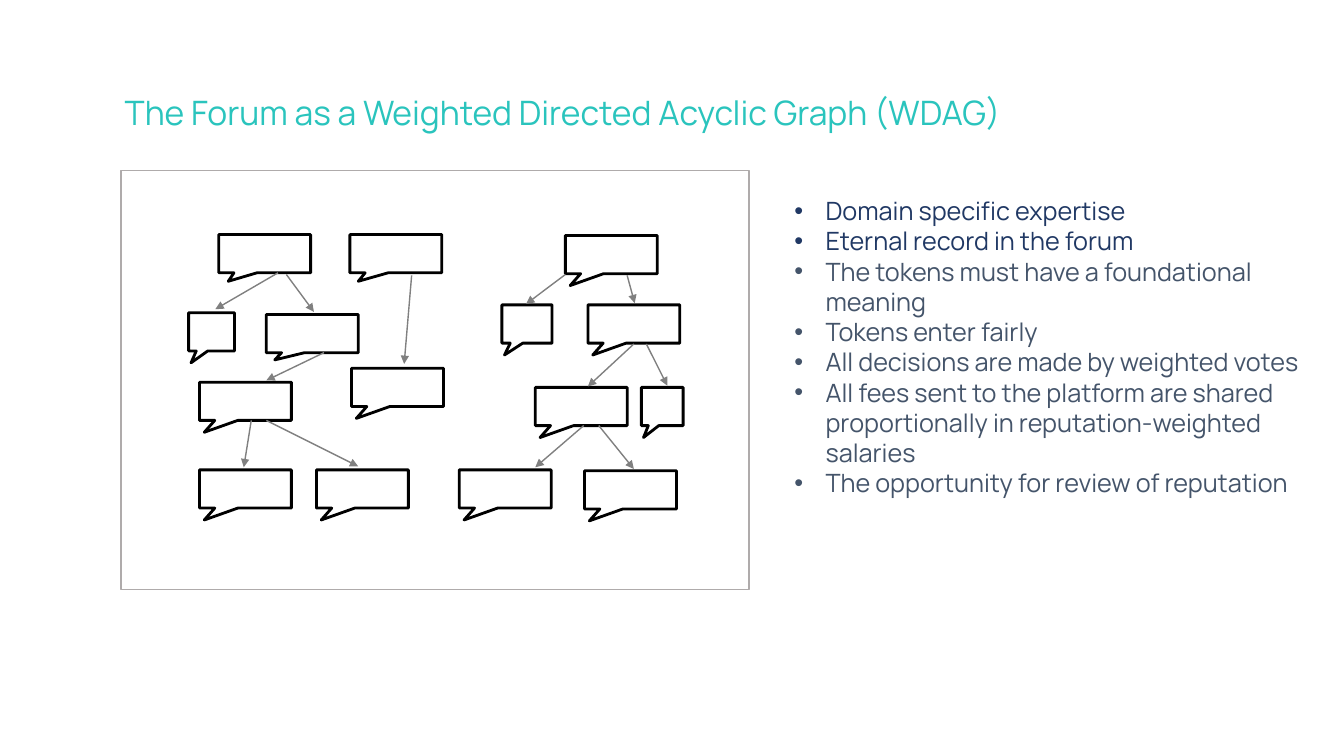
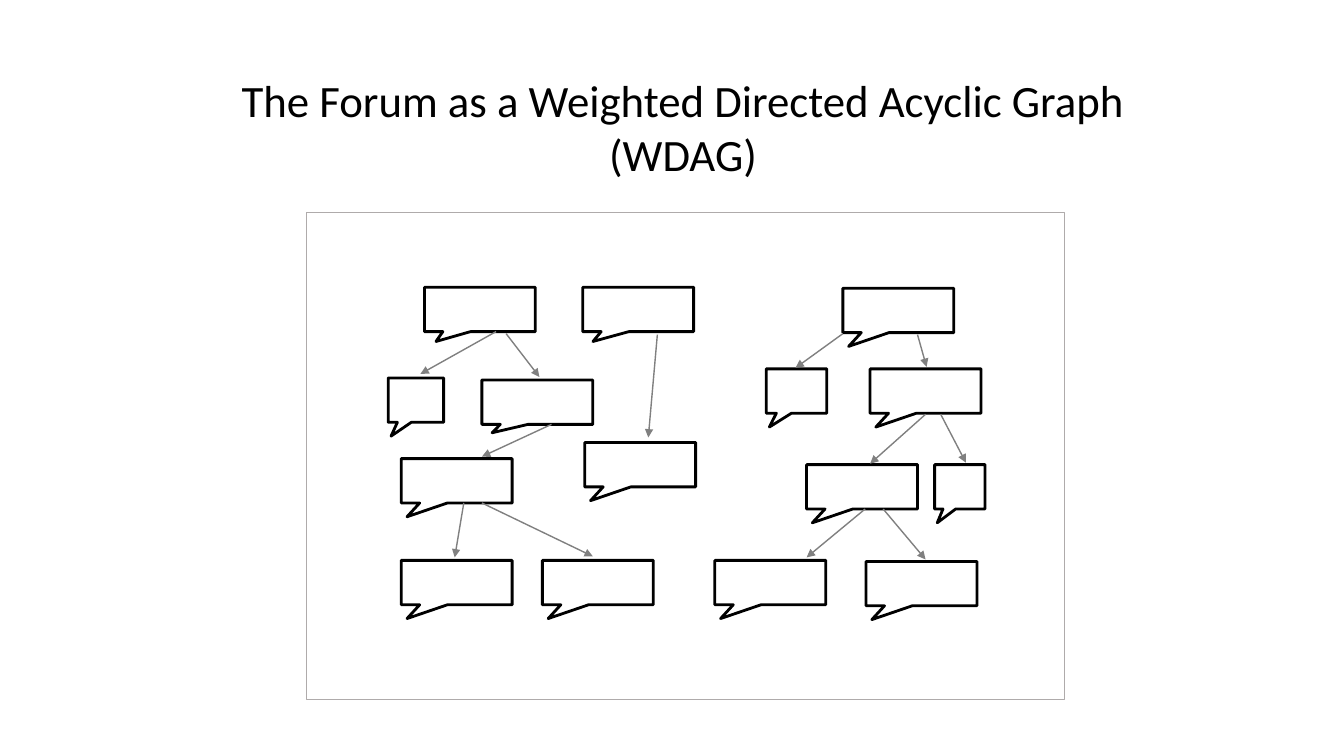
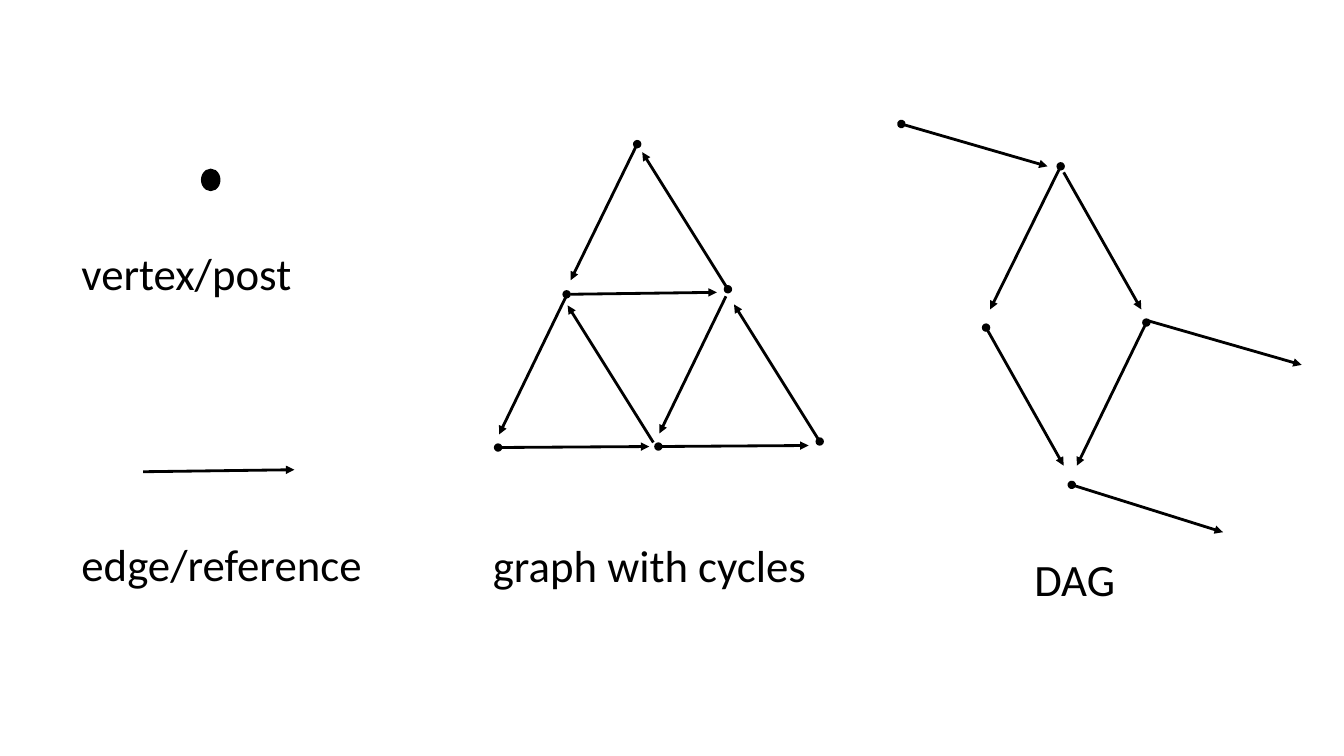
import pptx
import pptx.util
import pptx.dml.color
import pptx.enum.shapes
import pptx.enum.text
import pptx.oxml
import pptx.oxml.ns
from lxml import etree

Inches = pptx.util.Inches
SHAPE = pptx.enum.shapes.MSO_SHAPE
ALIGN = pptx.enum.text.PP_ALIGN
qn = pptx.oxml.ns.qn

BLACK, WHITE, GRAY, FRAME = "000000", "FFFFFF", "808080", "AFABAB"
TEAL, NAVY, SLATE = "2AC4BD", "203864", "44546A"
SANS, BRAND = "Calibri", "Manrope"
INDENT = 0.31

# Size of the forum frame that the post and edge positions below refer to.
FORUM = (7.52, 4.83)
POST_W, POST_H = 1.1, 0.44
TIP = (-0.448, 0.812)
# left, top, width, tip of the callout
POSTS = [
    (1.17, 0.74, POST_W, (-0.396, 0.723)),
    (2.74, 0.74, POST_W, (-0.408, 0.723)),
    (5.32, 0.75, POST_W, TIP),
    (5.59, 1.55, POST_W, TIP),
    (4.56, 1.55, 0.6, TIP),
    (4.96, 2.5, POST_W, TIP),
    (6.23, 2.5, 0.5, TIP),
    (0.81, 1.64, 0.55, TIP),
    (2.76, 2.28, POST_W, TIP),
    (1.74, 1.66, POST_W, (-0.408, 0.69)),
    (0.94, 2.44, POST_W, TIP),
    (0.94, 3.45, POST_W, TIP),
    (2.34, 3.45, POST_W, TIP),
    (5.55, 3.46, POST_W, TIP),
    (4.05, 3.45, POST_W, TIP),
]
# start x, start y, end x, end y
LINKS = [
    (1.88, 1.18, 1.13, 1.6),
    (5.32, 1.2, 4.85, 1.54),
    (3.48, 1.21, 3.39, 2.23),
    (1.98, 1.2, 2.31, 1.63),
    (2.43, 2.1, 1.74, 2.42),
    (1.56, 2.88, 1.47, 3.42),
    (1.74, 2.88, 2.84, 3.41),
    (6.06, 1.21, 6.15, 1.53),
    (6.14, 2, 5.59, 2.49),
    (6.29, 2, 6.54, 2.48),
    (5.54, 2.94, 4.96, 3.42),
    (5.72, 2.94, 6.14, 3.44),
]

# start x, start y, end x, end y, whether the start carries a vertex dot
CYCLES = [
    (0.83, 1.49, 2.32, 1.47, True),
    (2.43, 1.44, 1.58, 0.08, True),
    (1.53, 0, 0.87, 1.35, True),
    (1.74, 3, 3.23, 2.99, True),
    (3.34, 2.95, 2.49, 1.59, True),
    (2.41, 1.51, 1.75, 2.87, False),
    (0.15, 3.01, 1.65, 3, True),
    (1.69, 2.96, 0.84, 1.6, False),
    (0.82, 1.52, 0.16, 2.88, False),
]
DAG = [
    (1.69, 3.58, 3.19, 4.05, True),
    (0, 0, 1.45, 0.42, True),
    (1.58, 0.42, 0.88, 1.84, True),
    (1.61, 0.48, 2.38, 1.84, False),
    (2.43, 1.97, 1.74, 3.39, True),
    (0.84, 2.02, 1.61, 3.39, True),
    (2.44, 1.95, 3.97, 2.39, False),
]


def rgb(code):
    return pptx.dml.color.RGBColor.from_string(code)


def shape(slide, kind, box, line, width, fill=None):
    item = slide.shapes.add_shape(kind, *map(Inches, box))
    item.shadow.inherit = False
    if fill:
        item.fill.solid()
        item.fill.fore_color.rgb = rgb(fill)
    else:
        item.fill.background()
    item.line.color.rgb = rgb(line)
    item.line.width = pptx.util.Pt(width)
    return item


def arrow(slide, ends, color=BLACK, width=2, dot=False):
    item = slide.shapes.add_connector(
        pptx.enum.shapes.MSO_CONNECTOR.STRAIGHT, *map(Inches, ends))
    item.line.color.rgb = rgb(color)
    item.line.width = pptx.util.Pt(width)
    props = item.line._get_or_add_ln()
    if dot:
        etree.SubElement(props, qn("a:headEnd"), type="oval")
    etree.SubElement(props, qn("a:tailEnd"), type="triangle")
    etree.SubElement(item._element.spPr, qn("a:effectLst"))


def frame(slide, box, wrap=True):
    """Add an empty text box and return its text frame."""
    text = slide.shapes.add_textbox(*map(Inches, box)).text_frame
    text.word_wrap = wrap
    return text


def write(area, text, size=32, font=SANS, color=BLACK, align=ALIGN.LEFT,
          bullet=False):
    """Add one paragraph, using the first one while it is still empty."""
    para = area.paragraphs[0]
    if para.runs:
        para = area.add_paragraph()
    para.alignment = align
    if bullet:
        props = para._p.get_or_add_pPr()
        props.set("marL", str(Inches(INDENT)))
        props.set("indent", str(-Inches(INDENT)))
        etree.SubElement(props, qn("a:buFont"), typeface="Arial")
        etree.SubElement(props, qn("a:buChar"), char="•")
    run = para.add_run()
    run.text = text
    run.font.size = pptx.util.Pt(size)
    run.font.name = font
    run.font.color.rgb = rgb(color)


def forum(slide, box):
    """Draw the tree of posts scaled to the box, with a frame around it."""
    left, top, wide, high = box
    sx, sy = wide / FORUM[0], high / FORUM[1]
    for x, y, w, tip in POSTS:
        spot = (left + x * sx, top + y * sy, w * sx, POST_H * sy)
        post = shape(slide, SHAPE.RECTANGULAR_CALLOUT, spot, BLACK, 2, WHITE)
        post.adjustments[0], post.adjustments[1] = tip
    for x1, y1, x2, y2 in LINKS:
        ends = (left + x1 * sx, top + y1 * sy, left + x2 * sx, top + y2 * sy)
        arrow(slide, ends, GRAY, 1)
    shape(slide, SHAPE.RECTANGLE, box, FRAME, 1)


def label(slide, box, text):
    write(frame(slide, box), text)


def graph(slide, left, top, edges):
    for x1, y1, x2, y2, dot in edges:
        arrow(slide, (left + x1, top + y1, left + x2, top + y2), dot=dot)


def legend(slide, left, top):
    shape(slide, SHAPE.OVAL, (left + 1.29, top, 0.18, 0.21), BLACK, 1, BLACK)
    label(slide, (left, top + 0.71, 2.67, 0.64), "vertex/post")
    arrow(slide, (left + 0.71, top + 3, left + 2.21, top + 2.98))
    label(slide, (left, top + 3.6, 3.26, 0.64), "edge/reference")


def points(slide, box):
    area = frame(slide, box)
    for text, color in [
        ("Domain specific expertise", NAVY),
        ("Eternal record in the forum", NAVY),
        ("The tokens must have a foundational meaning", SLATE),
        ("Tokens enter fairly", SLATE),
        ("All decisions are made by weighted votes", SLATE),
        ("All fees sent to the platform are shared proportionally in "
         "reputation-weighted salaries", SLATE),
        ("The opportunity for review of reputation", SLATE),
    ]:
        write(area, text, size=18, font=BRAND, color=color, bullet=True)


def title(slide, box, lines, wrap=True, **style):
    area = frame(slide, box, wrap)
    for line in lines:
        write(area, line, align=ALIGN.CENTER, **style)


def main():
    deck = pptx.Presentation()
    deck.slide_width, deck.slide_height = Inches(13.33), Inches(7.5)
    first, second, third = [
        deck.slides.add_slide(deck.slide_layouts[6]) for _ in range(3)]

    points(first, (7.78, 1.89, 5.55, 2.52))
    title(first, (0.02, 0.86, 11.12, 0.5),
          ["The Forum as a Weighted Directed Acyclic Graph (WDAG)"],
          size=24, font=BRAND, color=TEAL)
    forum(first, (1.2, 1.69, 6.23, 4.16))

    forum(second, (3.04, 2.11, 7.52, 4.83))
    title(second, (2.25, 0.67, 9.05, 1.18),
          ["The Forum as a Weighted Directed Acyclic Graph", "(WDAG)"],
          wrap=False)

    graph(third, 8.94, 1.23, DAG)
    label(third, (10.16, 5.42, 1.32, 0.64), "DAG")
    legend(third, 0.71, 1.68)
    graph(third, 4.79, 1.43, CYCLES)
    label(third, (4.79, 5.29, 3.56, 0.64), "graph with cycles")

    deck.save("out.pptx")


if __name__ == "__main__":
    main()
